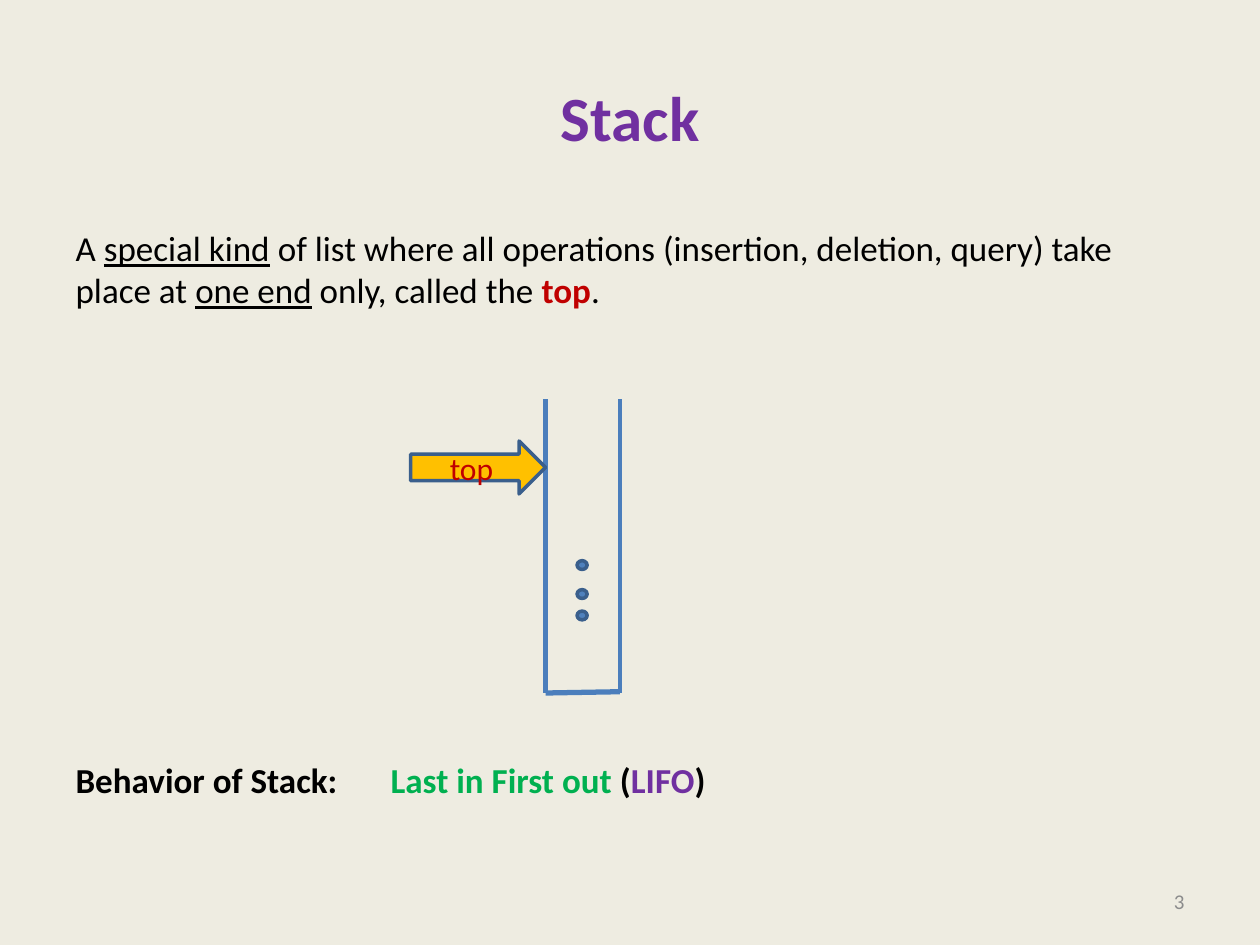
from lxml.etree import SubElement
from pptx import Presentation
from pptx.dml.color import RGBColor
from pptx.enum.shapes import MSO_CONNECTOR, MSO_SHAPE
from pptx.enum.text import MSO_ANCHOR, MSO_AUTO_SIZE, PP_ALIGN
from pptx.oxml.ns import qn
from pptx.util import Inches, Pt

BLACK, PURPLE, RED, GREEN = "000000", "7030A0", "C00000", "00B050"
BLUE, EDGE, FILL = "4B7EBC", "3A5F8C", "4F81BD"
BODY = [
    (0, [("A ", BLACK, ""), ("special kind", BLACK, "u"),
         (" of list where all operations (insertion, deletion, query) take place at ", BLACK, ""),
         ("one end", BLACK, "u"), (" only, called the ", BLACK, ""),
         ("top", RED, "b"), (".", BLACK, "")]),
    (256, [("Behavior of Stack:\t", BLACK, "b"), ("Last in First out", GREEN, "b"),
           (" (", BLACK, "b"), ("LIFO", PURPLE, "b"), (")", BLACK, "b")]),
]
LEFT, RIGHT, TOP, BASE = 4.33, 4.92, 3.17, 5.5
WALLS = [
    (LEFT, TOP, LEFT, BASE, 3),
    (RIGHT, TOP, RIGHT, BASE, 2.25),
    (LEFT, BASE, RIGHT, BASE - 0.01, 3),
]
DOTS = [4.45, 4.68, 4.85]


def tint(color, code):
    color.rgb = RGBColor.from_string(code)


def place(shape, *box):
    shape.left, shape.top, shape.width, shape.height = map(Inches, box)


def style(font, size, code, bold=False):
    font.name, font.size, font.bold = "Calibri", Pt(size), bold
    tint(font.color, code)


def write(shape, text, size, code, align, bold=False):
    frame = shape.text_frame
    frame.text = text
    frame.word_wrap = True
    frame.vertical_anchor = MSO_ANCHOR.MIDDLE
    para = frame.paragraphs[0]
    para.alignment = align
    style(para.runs[0].font, size, code, bold)


def fill_body(frame):
    frame.auto_size = MSO_AUTO_SIZE.NONE
    for i, (gap, parts) in enumerate(BODY):
        para = frame.add_paragraph() if i else frame.paragraphs[0]
        props = para._p.get_or_add_pPr()
        props.set("marL", "0")
        props.set("indent", "0")
        SubElement(props, qn("a:buNone"))
        tabs = SubElement(props, qn("a:tabLst"))
        SubElement(tabs, qn("a:tab"), pos=str(Inches(2.33)), algn="l")
        para.space_before = Pt(gap)
        for text, code, marks in parts:
            run = para.add_run()
            run.text = text
            style(run.font, 20, code, "b" in marks)
            run.font.underline = "u" in marks


def add_wall(group, x1, y1, x2, y2, width):
    wall = group.shapes.add_connector(
        MSO_CONNECTOR.STRAIGHT, *map(Inches, (x1, y1, x2, y2)))
    tint(wall.line.color, BLUE)
    wall.line.width = Pt(width)
    SubElement(wall._element.spPr, qn("a:effectLst"))


def add_part(group, kind, box, code):
    part = group.shapes.add_shape(kind, *map(Inches, box))
    part.shadow.inherit = False
    part.fill.solid()
    tint(part.fill.fore_color, code)
    tint(part.line.color, EDGE)
    part.line.width = Pt(2)
    return part


def main():
    deck = Presentation()
    deck.slide_width, deck.slide_height = Inches(10), Inches(7.5)
    slide = deck.slides.add_slide(deck.slide_layouts[1])
    slide.background.fill.solid()
    tint(slide.background.fill.fore_color, "EEECE1")

    title, body = slide.placeholders
    place(title, 0.5, 0.3, 9, 1.25)
    write(title, "Stack", 36, PURPLE, PP_ALIGN.CENTER, True)
    place(body, 0.5, 1.75, 9, 4.95)
    fill_body(body.text_frame)

    page = slide.shapes.add_textbox(*map(Inches, (7.17, 6.95, 2.33, 0.4)))
    write(page, "3", 12, "8C8C8C", PP_ALIGN.RIGHT)

    group = slide.shapes.add_group_shape()
    for wall in WALLS:
        add_wall(group, *wall)
    for y in DOTS:
        add_part(group, MSO_SHAPE.OVAL, (4.58, y, 0.08, 0.07), FILL)
    arrow = add_part(group, MSO_SHAPE.RIGHT_ARROW, (3.26, 3.5, 1.07, 0.42), "FFC000")
    write(arrow, "top", 18, RED, PP_ALIGN.CENTER)

    deck.save("out.pptx")


if __name__ == "__main__":
    main()
